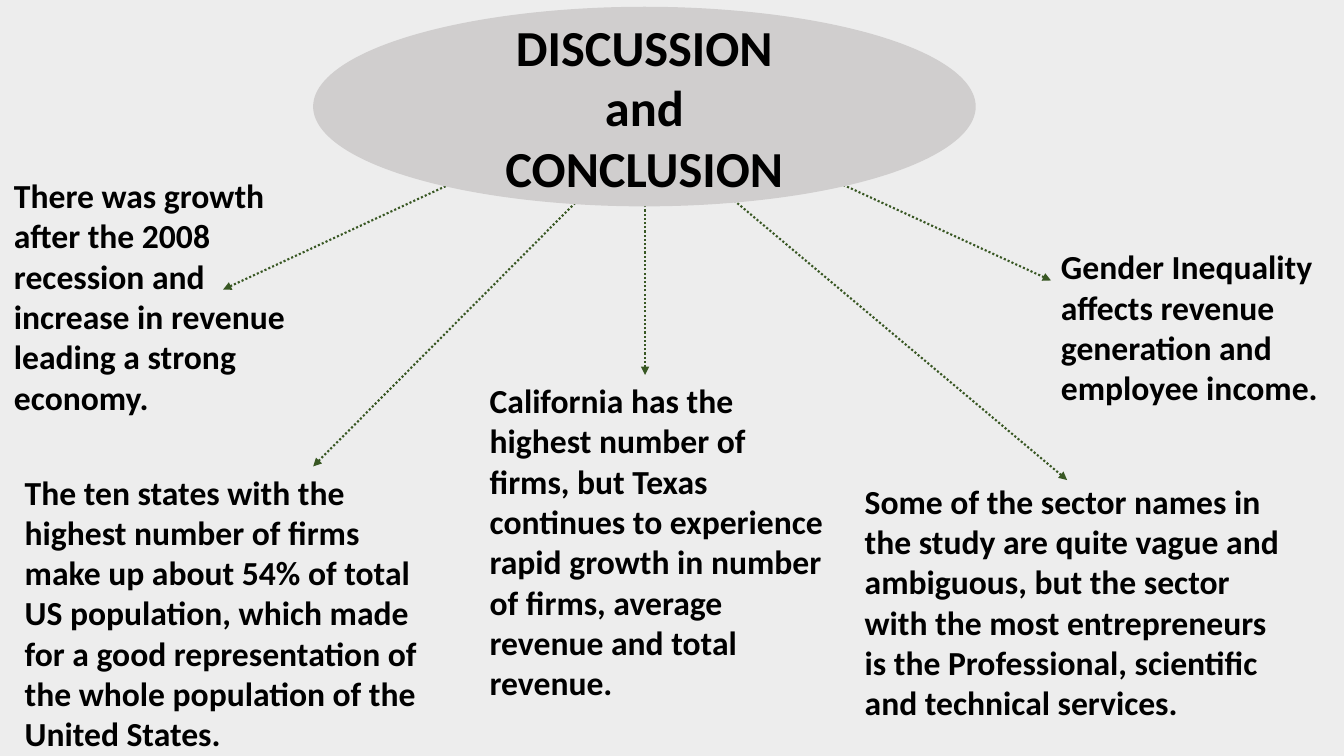
from lxml.etree import SubElement as Sub
from pptx import Presentation
from pptx.dml.color import RGBColor
from pptx.enum.dml import MSO_LINE
from pptx.enum.shapes import MSO_CONNECTOR, MSO_SHAPE
from pptx.enum.text import MSO_ANCHOR, MSO_AUTO_SIZE, PP_ALIGN
from pptx.oxml.ns import qn
from pptx.util import Inches, Pt

PAPER = RGBColor(0xED, 0xED, 0xED)
GREY = RGBColor(0xD0, 0xCE, 0xCE)
GREEN = RGBColor(0x38, 0x57, 0x23)
BLACK = RGBColor(0, 0, 0)

deck = Presentation()
deck.slide_width, deck.slide_height = Inches(13.33), Inches(7.5)
slide = deck.slides.add_slide(deck.slide_layouts[6])
slide.background.fill.solid()
slide.background.fill.fore_color.rgb = PAPER


def share(*parts):
    sides = (deck.slide_width, deck.slide_height)
    return [round(sides[i % 2] * part / 100) for i, part in enumerate(parts)]


def style(frame, size, align):
    frame.word_wrap = True
    for para in frame.paragraphs:
        para.alignment = align
        for run in para.runs:
            run.font.name = "Calibri"
            run.font.size = Pt(size)
            run.font.bold = True
            run.font.color.rgb = BLACK


arrows = [
    (79.4, 63.5, 52.4, 23.2),
    (78.2, 37.1, 55.7, 18.7),
    (23.3, 61.7, 47.8, 17.9),
    (16.6, 38.3, 40.1, 18.9),
    (48, 49.6, 48, 27.3),
]
for ends in arrows:
    arrow = slide.shapes.add_connector(MSO_CONNECTOR.STRAIGHT, *share(*ends))
    arrow.line.color.rgb = GREEN
    arrow.line.width = Pt(1.5)
    arrow.line.dash_style = MSO_LINE.ROUND_DOT
    Sub(arrow.line._get_or_add_ln(), qn("a:headEnd"), type="triangle")
    Sub(arrow._element.spPr, qn("a:effectLst"))

title = slide.shapes.add_shape(MSO_SHAPE.OVAL, *share(23.3, 0.9, 49.3, 26.4))
title.shadow.inherit = False
title.fill.solid()
title.fill.fore_color.rgb = GREY
title.line.fill.background()
title.text_frame.text = "DISCUSSION\nand\nCONCLUSION"
title.text_frame.vertical_anchor = MSO_ANCHOR.MIDDLE
style(title.text_frame, 36, PP_ALIGN.CENTER)

points = [
    ((0.3, 22.5, 21.9, 33.6),
     "There was growth after the 2008 recession and increase in revenue "
     "leading a strong economy."),
    ((1.1, 61.7, 31.9, 39.1),
     "The ten states with the highest number of firms make up about 54% of "
     "total US population, which made for a good representation of the whole "
     "population of the United States."),
    ((35.7, 49.6, 26.9, 44.4),
     "California has the highest number of firms, but Texas continues to "
     "experience rapid growth in number of firms, average revenue and total "
     "revenue."),
    ((63.6, 62.9, 33.3, 33.6),
     "Some of the sector names in the study are quite vague and ambiguous, "
     "but the sector with the most entrepreneurs is the Professional, "
     "scientific and technical services."),
    ((78.2, 31.9, 23.6, 22.9),
     "Gender Inequality affects revenue generation and employee income."),
]
for place, words in points:
    box = slide.shapes.add_textbox(*share(*place))
    box.text_frame.text = words
    style(box.text_frame, 24, PP_ALIGN.LEFT)
    box.text_frame.auto_size = MSO_AUTO_SIZE.SHAPE_TO_FIT_TEXT

deck.save("out.pptx")
